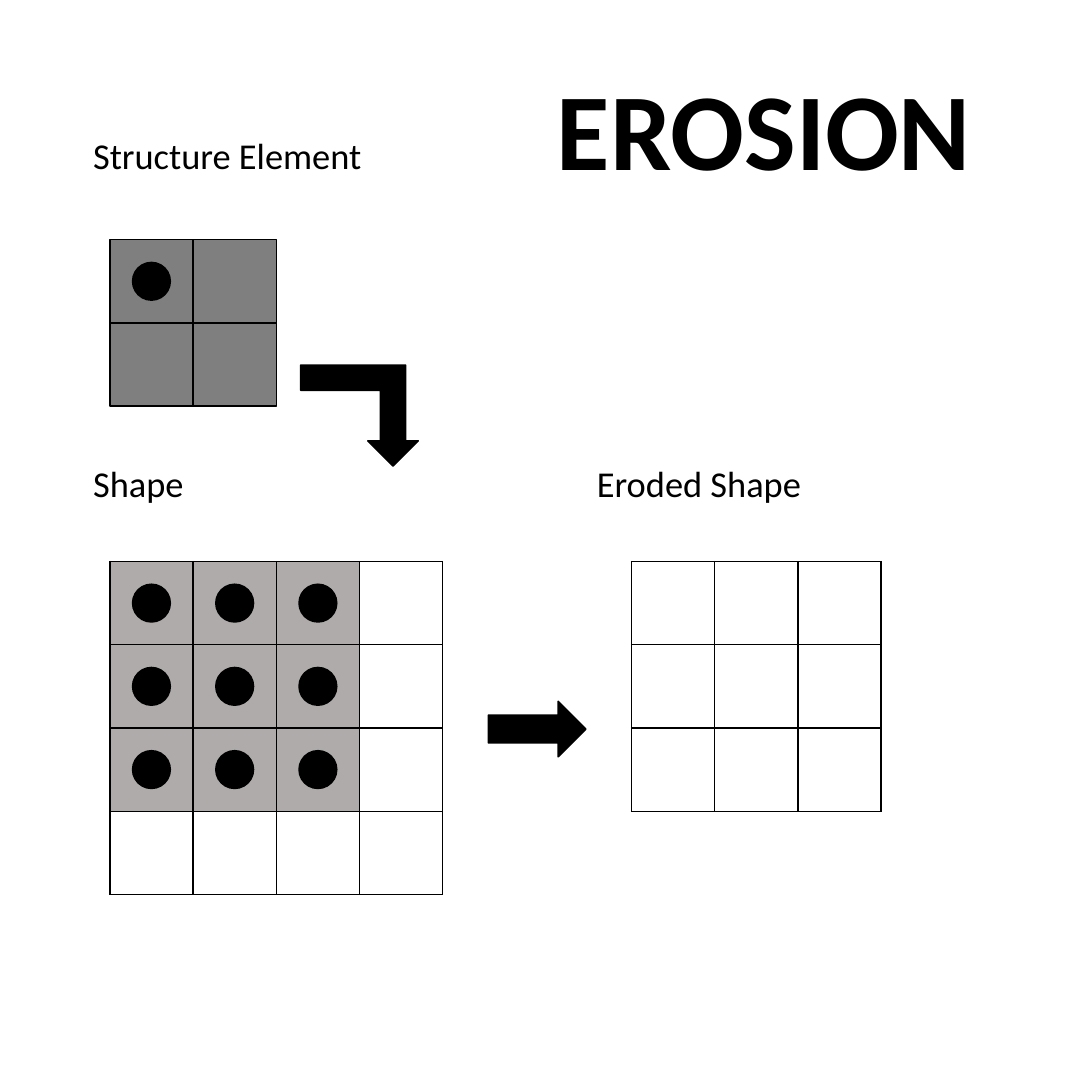
from itertools import product

from lxml.etree import SubElement
from pptx import Presentation
from pptx.dml.color import RGBColor as Rgb
from pptx.enum.shapes import MSO_SHAPE as Preset
from pptx.oxml.ns import qn
from pptx.util import Inches, Pt

COLORS = {"ink": "000000", "paper": "FFFFFF", "shape": "AFABAB"}
CELL = 0.75
DOT = 0.34
LABEL = {"name": "Calibri", "size": Pt(23.6), "bold": False}
TITLE = {"name": "Calibri", "size": Pt(70.9), "bold": True}


def add_text(page, box, words, style):
    """A single line of text filling the box."""
    frame = page.shapes.add_textbox(*map(Inches, box)).text_frame
    frame.word_wrap = True
    span = frame.paragraphs[0].add_run()
    span.text = words
    for key, value in style.items():
        setattr(span.font, key, value)
    span.font.color.rgb = Rgb.from_string(COLORS["ink"])


def add_solid(shapes, preset, box, opacity=100):
    """A black shape with a thin black outline."""
    solid = shapes.add_shape(preset, *map(Inches, box))
    solid.shadow.inherit = False
    solid.fill.solid()
    solid.fill.fore_color.rgb = Rgb.from_string(COLORS["ink"])
    solid.line.color.rgb = Rgb.from_string(COLORS["ink"])
    solid.line.width = Pt(1)
    if opacity < 100:
        color = solid.fill._xPr.find(qn("a:solidFill"))[0]
        SubElement(color, qn("a:alpha"), val=str(opacity * 1000))
    return solid


def add_dot(shapes, left, top):
    """A dot centred in the cell with the given corner."""
    gap = (CELL - DOT) / 2
    add_solid(shapes, Preset.OVAL, (left + gap, top + gap, DOT, DOT))


def add_border(cell):
    """Thin black lines on all four sides of a cell."""
    props = cell._tc.get_or_add_tcPr()
    for side in ("lnL", "lnR", "lnT", "lnB"):
        line = SubElement(props, qn(f"a:{side}"), w=str(Pt(1)))
        fill = SubElement(line, qn("a:solidFill"))
        SubElement(fill, qn("a:srgbClr"), val=COLORS["ink"])


def add_grid(page, left, top, count, color_at):
    """A square table; color_at gives a colour name or None per cell."""
    side = Inches(count * CELL)
    grid = page.shapes.add_table(
        count, count, Inches(left), Inches(top), side, side).table
    grid.first_row = grid.horz_banding = False
    for line in grid.columns:
        line.width = Inches(CELL)
    for line in grid.rows:
        line.height = Inches(CELL)
    for row, col in product(range(count), repeat=2):
        cell = grid.cell(row, col)
        add_border(cell)
        color = color_at(row, col)
        if color:
            cell.fill.solid()
            cell.fill.fore_color.rgb = Rgb.from_string(COLORS[color])
        else:
            cell.fill.background()


def add_label(page, left, top, words):
    add_text(page, (left, top, 3.49, 0.5), words, LABEL)


def structure_element(page, left, top):
    add_label(page, left, top, "Structure Element")
    group = page.shapes.add_group_shape()
    grid_left, grid_top = left + 0.25, top + 1.01
    for row, col in product(range(2), repeat=2):
        box = (grid_left + col * CELL, grid_top + row * CELL, CELL, CELL)
        add_solid(group.shapes, Preset.RECTANGLE, box, opacity=50)
    add_dot(group.shapes, grid_left, grid_top)


def input_shape(page, left, top):
    grid_left, grid_top = left + 0.25, top + 0.95
    add_grid(page, grid_left, grid_top, 4,
             lambda row, col: "shape" if max(row, col) < 3 else None)
    add_label(page, left, top, "Shape")
    for row, col in product(range(3), repeat=2):
        add_dot(page.shapes, grid_left + col * CELL, grid_top + row * CELL)


def eroded_shape(page, left, top):
    add_grid(page, left + 0.41, top + 0.95, 3, lambda row, col: "paper")
    add_label(page, left, top, "Eroded Shape")


def flow_arrows(page):
    bend = add_solid(page.shapes, Preset.BENT_UP_ARROW,
                     (2.71, 3.29, 1.06, 0.91))
    bend._element.spPr.find(qn("a:xfrm")).set("flipV", "1")
    add_solid(page.shapes, Preset.RIGHT_ARROW, (4.4, 6.32, 0.88, 0.5))


deck = Presentation()
deck.slide_width = deck.slide_height = Inches(9.84)
page = deck.slides.add_slide(deck.slide_layouts[6])

add_text(page, (4.92, 0.5, 4.55, 1.29), "EROSION", TITLE)
structure_element(page, 0.74, 1.15)
input_shape(page, 0.74, 4.11)
eroded_shape(page, 5.28, 4.11)
flow_arrows(page)

deck.save("out.pptx")
